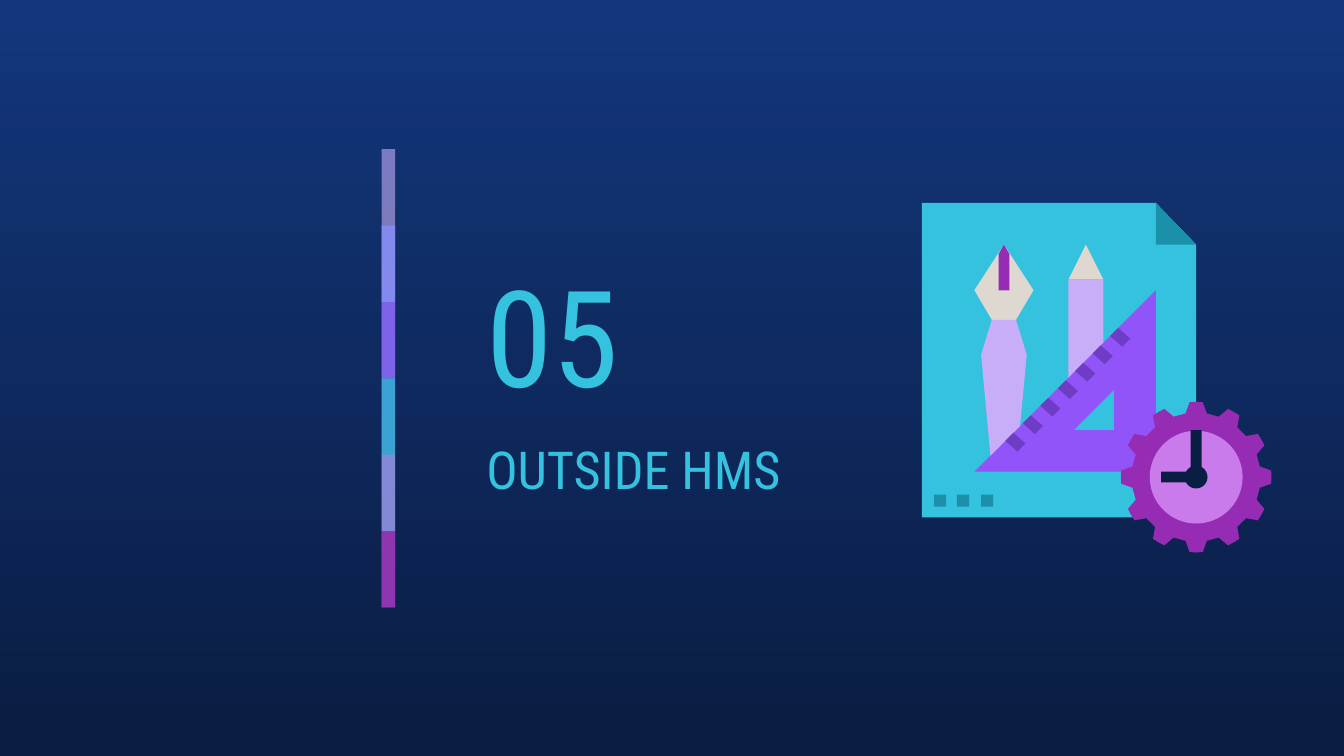
"""Build the section slide with a striped bar, two titles and a design icon."""
from math import cos, radians, sin

from lxml import etree
from pptx import Presentation, util as u
from pptx.dml.color import RGBColor
from pptx.enum import shapes as sh, text as tx
from pptx.oxml import ns

WIDE = 10
TALL = WIDE * 9 / 16
FONT = "Roboto Condensed"
AQUA, TEAL, GRAPE, NAVY = "35C2DF", "1B91A9", "972CB4", "0A1D42"
LILAC, VIOLET, CREAM, ORCHID, PLUM = "C8AEF8", "9154F8", "DED8D0", "CA7BEB", "6F3CC6"
SKY = ["13367C", NAVY]
BANDS = [(LILAC, 59), ("878FFF", 74), (VIOLET, 53), (AQUA, 76), (ORCHID, 56), (GRAPE, 74)]
TITLES = [("05", 72, (3.52, 1.81, 1.75, 1.35)),
          ("OUTSIDE HMS", 28, (3.52, 3.15, 2.87, 0.67))]
HUB = (8.9, 3.55)
PAGE = [(6.86, 1.51), (6.86, 3.85), (8.9, 3.85), (8.9, 1.82), (8.6, 1.51)]
FOLD = [(8.6, 1.51), (8.6, 1.82), (8.9, 1.82)]
RULER = [(8.6, 2.16), (7.25, 3.51), (8.6, 3.51)]
HOLE = [(8.29, 2.9), (8.29, 3.2), (7.99, 3.2)]
TOOLS = [
    (CREAM, [(8.08, 1.82), (7.95, 2.08), (8.21, 2.08)]),
    (LILAC, [(7.95, 2.08), (7.95, 2.81), (8.21, 2.55), (8.21, 2.08)]),
    (CREAM, [(7.47, 1.82), (7.25, 2.16), (7.38, 2.38), (7.56, 2.38), (7.69, 2.16)]),
    (LILAC, [(7.38, 2.38), (7.3, 2.64), (7.37, 3.39), (7.59, 3.17), (7.64, 2.64), (7.56, 2.38)]),
]
NIB = [(7.47, 1.82), (7.43, 1.89), (7.43, 2.16), (7.51, 2.16), (7.51, 1.89)]
HANDS = [(8.86, 3.2), (8.86, 3.51), (8.64, 3.51), (8.64, 3.59), (8.94, 3.59), (8.94, 3.2)]
TICK = [(7.54, 3.22), (7.48, 3.28), (7.57, 3.36), (7.63, 3.3)]
TOOTH = [(-9.5, 0.48), (-5, 0.56), (0, 0.56), (5, 0.56), (9.5, 0.48)]
DOTS = [6.95, 7.12, 7.3]


def rgb(code):
    return RGBColor.from_string(code)


def paint(shape, color):
    shape.shadow.inherit = False
    shape.fill.solid()
    shape.fill.fore_color.rgb = rgb(color)
    shape.line.fill.background()
    return shape


def block(group, kind, box, color):
    return paint(group.shapes.add_shape(kind, *map(u.Inches, box)), color)


def draw(group, color, *loops):
    loops = [[(u.Inches(x), u.Inches(y)) for x, y in loop] for loop in loops]
    pen = group.shapes.build_freeform(*loops[0][0])
    for loop in loops:
        if loop is not loops[0]:
            pen.move_to(*loop[0])
        pen.add_line_segments(loop[1:], close=True)
    paint(pen.convert_to_shape(), color)


def disc(group, size, color):
    x, y = HUB
    block(group, sh.MSO_SHAPE.OVAL, (x - size / 2, y - size / 2, size, size), color)


def fade(shape, share):
    tint = shape.fill.fore_color._xFill.find(ns.qn("a:srgbClr"))
    etree.SubElement(tint, ns.qn("a:alpha")).set("val", str(share * 1000))


def title(slide, words, size, box):
    frame = slide.shapes.add_textbox(*map(u.Inches, box)).text_frame
    frame.word_wrap = True
    frame.vertical_anchor = tx.MSO_ANCHOR.MIDDLE
    frame.margin_left = frame.margin_right = u.Inches(0.1)
    frame.margin_top = frame.margin_bottom = u.Inches(0.1)
    frame.text = words
    font = frame.paragraphs[0].runs[0].font
    font.name, font.size, font.color.rgb = FONT, u.Pt(size), rgb(AQUA)


def main():
    deck = Presentation()
    deck.slide_width, deck.slide_height = u.Inches(WIDE), u.Inches(TALL)
    slide = deck.slides.add_slide(deck.slide_layouts[6])

    fill = slide.background.fill
    fill.gradient()
    fill.gradient_angle = 270
    for stop, color, place in zip(fill.gradient_stops, SKY, (0, 1)):
        stop.color.rgb, stop.position = rgb(color), place

    bar = slide.shapes.add_group_shape()
    top, end = 1.11, 4.52
    step = (end - top) / len(BANDS)
    for i, (color, share) in enumerate(BANDS):
        y = top + i * step
        tall = min(2 * step, end - y)
        fade(block(bar, sh.MSO_SHAPE.RECTANGLE, (2.84, y, 0.1, tall), color), share)

    for item in TITLES:
        title(slide, *item)

    icon = slide.shapes.add_group_shape()
    draw(icon, AQUA, PAGE)
    draw(icon, TEAL, FOLD)
    draw(icon, VIOLET, RULER, HOLE)
    gear = [(HUB[0] + r * sin(radians(30 * i + a)), HUB[1] - r * cos(radians(30 * i + a)))
            for i in range(12) for a, r in TOOTH]
    draw(icon, GRAPE, gear)
    for color, loop in TOOLS:
        draw(icon, color, loop)
    disc(icon, 0.69, ORCHID)
    draw(icon, NAVY, HANDS)
    disc(icon, 0.17, NAVY)
    draw(icon, GRAPE, NIB)
    for i in range(7):
        draw(icon, PLUM, [(x + 0.13 * i, y - 0.13 * i) for x, y in TICK])
    for x in DOTS:
        block(icon, sh.MSO_SHAPE.RECTANGLE, (x, 3.68, 0.09, 0.09), TEAL)

    deck.save("out.pptx")


if __name__ == "__main__":
    main()
